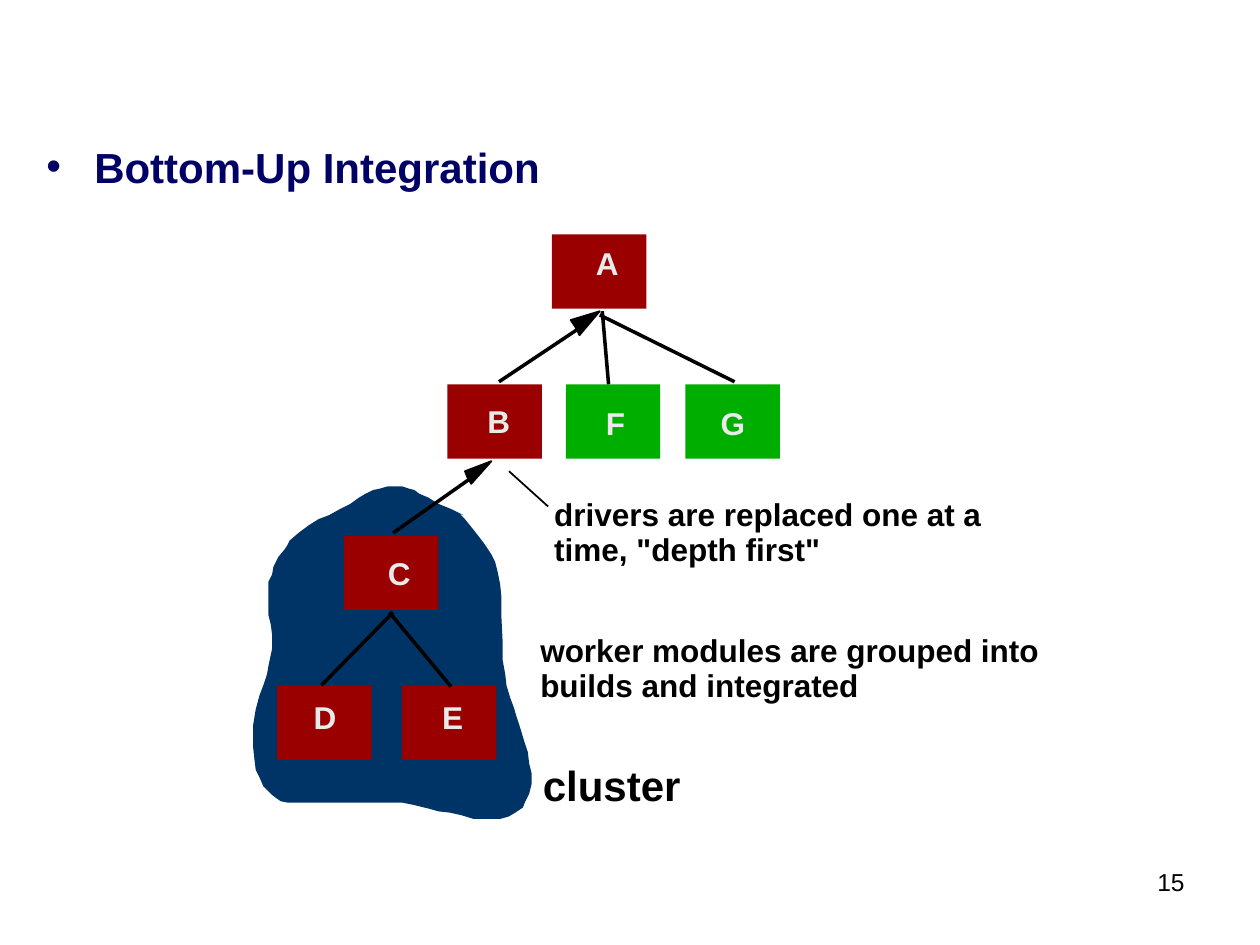
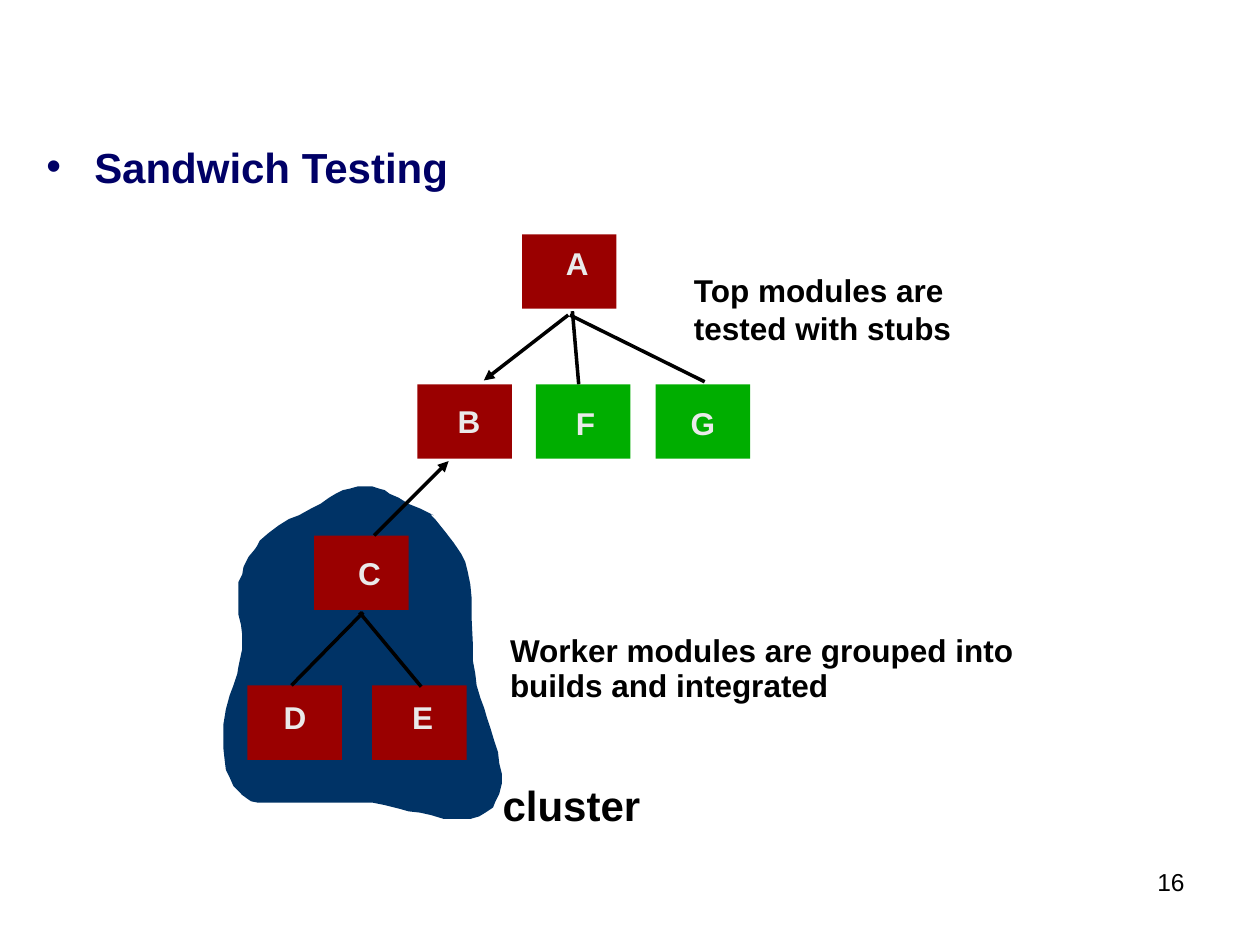
from dataclasses import dataclass

from lxml import etree
from pptx import Presentation
from pptx.dml.color import RGBColor
from pptx.enum.shapes import MSO_CONNECTOR, MSO_SHAPE
from pptx.enum.text import MSO_AUTO_SIZE, PP_ALIGN
from pptx.oxml.ns import qn
from pptx.util import Inches, Pt

RECTANGLE = MSO_SHAPE.RECTANGLE
STRAIGHT = MSO_CONNECTOR.STRAIGHT
FIT_TEXT = MSO_AUTO_SIZE.SHAPE_TO_FIT_TEXT
LEFT, RIGHT = PP_ALIGN.LEFT, PP_ALIGN.RIGHT


@dataclass(frozen=True)
class Theme:
    font: str = "Arial"
    title: RGBColor = RGBColor(0x00, 0x00, 0x66)
    ink: RGBColor = RGBColor(0x00, 0x00, 0x00)
    label: RGBColor = RGBColor(0xEA, 0xEA, 0xEA)
    cluster: RGBColor = RGBColor(0x00, 0x33, 0x66)
    tested: RGBColor = RGBColor(0x9A, 0x00, 0x00)
    pending: RGBColor = RGBColor(0x00, 0xAE, 0x00)
    title_size: int = 24
    body_size: int = 18
    number_size: int = 14
    stroke: int = 2
    thin: int = 1


theme = Theme()
deck = Presentation()
deck.slide_width, deck.slide_height = Inches(10), Inches(7.5)
COLUMN = deck.slide_width // 100
ROW = deck.slide_height // 75
MODULE_WIDTH, MODULE_HEIGHT = 7.5, 5.9
LINE_PITCH = 2.8


def add_text(page, text, left, top, width, height, size, color,
             bold=True, align=LEFT, wrap=False):
    box = page.shapes.add_textbox(round(left * COLUMN), round(top * ROW),
                                  round(width * COLUMN), round(height * ROW))
    frame = box.text_frame
    frame.text = text
    frame.word_wrap = wrap
    if not wrap:
        frame.auto_size = FIT_TEXT
    for para in frame.paragraphs:
        para.alignment = align
        for span in para.runs:
            span.font.name = theme.font
            span.font.size = Pt(size)
            span.font.bold = bold
            span.font.color.rgb = color
    return box


def add_stroke(shapes, start, end, weight=theme.stroke, arrow=False):
    stroke = shapes.add_connector(
        STRAIGHT, round(start[0] * COLUMN), round(start[1] * ROW),
        round(end[0] * COLUMN), round(end[1] * ROW))
    stroke.line.color.rgb = theme.ink
    stroke.line.width = Pt(weight)
    properties = stroke.element.spPr
    if arrow:
        etree.SubElement(properties.find(qn("a:ln")), qn("a:tailEnd"), type="triangle")
    etree.SubElement(properties, qn("a:effectLst"))


cluster_outline = [
    (36.8, 40.9), (35.8, 40.4), (34.8, 40), (34, 39.5), (33.3, 39.2), (32.9, 38.9),
    (32.5, 38.8), (31.9, 38.6), (30.8, 38.6), (30.1, 38.8), (29.6, 38.9), (29, 39.2),
    (28.5, 39.5), (27.8, 40), (27, 40.4), (26.1, 40.9), (25.3, 41.2), (24.5, 41.7),
    (23.7, 42.3), (23, 42.9), (22.8, 43.3), (22.6, 43.6), (22.1, 44.2), (21.7, 45),
    (21.6, 45.6), (21.3, 46.2), (21.3, 48.8), (21.5, 49.6), (21.6, 50.4), (21.6, 51.5),
    (21.3, 52.9), (21.2, 53.5), (20.9, 54.4), (20.6, 55.2), (20.3, 56.3), (20.1, 57.5),
    (20.1, 59.4), (20.2, 60.3), (20.3, 61.1), (20.6, 61.7), (20.9, 62.4), (21.2, 62.7),
    (21.6, 63.1), (22, 63.4), (22.3, 63.6), (22.8, 63.7), (31.9, 63.7), (32.9, 63.9),
    (34.1, 64.2), (34.8, 64.4), (35.7, 64.5), (36.6, 64.7), (37.6, 65), (39.7, 65),
    (40.4, 64.8), (40.9, 64.5), (41.5, 64.1), (41.7, 63.6), (42, 63), (42.2, 62.2),
    (42.2, 61.4), (42, 60.6), (41.9, 59.7), (41.6, 58.8), (41.3, 57.8), (41, 56.9),
    (40.8, 56.2), (40.5, 55.4), (40.2, 54.4), (40.1, 53.5), (39.9, 52.4), (39.9, 51),
    (39.8, 49), (39.8, 47.4), (39.7, 46.4), (39.5, 45.4), (39.3, 44.6), (39, 44),
    (38.4, 43.1), (37.7, 42.2), (36.9, 41.2), (36.5, 40.8),
]

modules = [
    ("A", 43.8, 18.6, theme.tested, 46.3, 18.9),
    ("B", 35.5, 30.5, theme.tested, 37.7, 31.4),
    ("C", 27.3, 42.5, theme.tested, 29.8, 43.5),
    ("D", 22, 54.4, theme.tested, 23.9, 54.9),
    ("E", 31.9, 54.4, theme.tested, 34.1, 54.9),
    ("F", 44.9, 30.5, theme.pending, 47.1, 31.6),
    ("G", 54.4, 30.5, theme.pending, 56.2, 31.6),
]

branches = [
    ((31.2, 48.6), (25.5, 54.4)),
    ((30.9, 48.6), (35.8, 54.5)),
    ((47.8, 24.7), (48.3, 30.5)),
    ((47.6, 25), (58.3, 30.3)),
]

wedge_arrows = [
    ((39.6, 30.3), (45.9, 26.1), [(47.6, 24.7), (46, 26.6), (45.7, 26), (45.3, 25.4)]),
    ((31.2, 42.3), (37.3, 38), [(39, 36.6), (37.4, 38.4), (37.1, 37.9), (36.9, 37.4)]),
]

pages = [
    dict(number="15", title="Bottom-Up Integration", shift=0,
         wedges=wedge_arrows, arrows=[],
         leaders=[((40.4, 37.4), (43.5, 40.2))],
         notes=[("drivers are replaced one at a", 43, 38.8, 36.6, 4),
                ("time, \"depth first\"", 43, 38.8 + LINE_PITCH, 23.1, 4),
                ("worker modules are grouped into", 41.9, 49.6, 42.3, 4),
                ("builds and integrated", 41.9, 49.6 + LINE_PITCH, 27.3, 4)],
         cluster_at=(42.1, 59.8)),
    dict(number="16", title="Sandwich Testing", shift=-2.37,
         wedges=[], leaders=[],
         arrows=[((45.1, 25), (38.4, 30.2)), ((29.7, 42.5), (35.6, 36.6))],
         notes=[("Top modules are\ntested with stubs", 54.1, 21, 22.4, 7),
                ("Worker modules are grouped into", 39.5, 49.6, 42.7, 4),
                ("builds and integrated", 39.5, 49.6 + LINE_PITCH, 27.3, 4)],
         cluster_at=(38.9, 61.4)),
]

for content in pages:
    page = deck.slides.add_slide(deck.slide_layouts[6])
    shift = content["shift"]

    add_text(page, content["number"], 74.4, 68.3, 20.6, 5.2, theme.number_size,
             theme.ink, bold=False, align=RIGHT, wrap=True)
    title = add_text(page, content["title"], 2.7, 10.7, 90, 7.9,
                     theme.title_size, theme.title, wrap=True)
    bullet = title.text_frame.paragraphs[0]._p.get_or_add_pPr()
    bullet.set("marL", str(Inches(0.38)))
    bullet.set("indent", str(-Inches(0.38)))
    bullet_color = etree.SubElement(bullet, qn("a:buClr"))
    etree.SubElement(bullet_color, qn("a:srgbClr"), val=str(theme.title))
    etree.SubElement(bullet, qn("a:buFont"), typeface=theme.font)
    etree.SubElement(bullet, qn("a:buChar"), char="•")

    points = [(round((x + shift) * COLUMN), round(y * ROW)) for x, y in cluster_outline]
    builder = page.shapes.build_freeform(*points[0])
    builder.add_line_segments(points[1:], close=True)
    cluster = builder.convert_to_shape()
    cluster.shadow.inherit = False
    cluster.fill.solid()
    cluster.fill.fore_color.rgb = theme.cluster
    cluster.line.fill.background()

    for name, left, top, color, label_left, label_top in modules:
        module = page.shapes.add_shape(
            RECTANGLE, round((left + shift) * COLUMN), round(top * ROW),
            round(MODULE_WIDTH * COLUMN), round(MODULE_HEIGHT * ROW))
        module.shadow.inherit = False
        module.fill.solid()
        module.fill.fore_color.rgb = color
        module.line.fill.background()

    for start, end, wedge in content["wedges"]:
        group = page.shapes.add_group_shape()
        points = [(round(x * COLUMN), round(y * ROW)) for x, y in wedge]
        builder = group.shapes.build_freeform(*points[0])
        builder.add_line_segments(points[1:], close=True)
        head = builder.convert_to_shape()
        head.shadow.inherit = False
        head.fill.solid()
        head.fill.fore_color.rgb = theme.ink
        head.line.color.rgb = theme.ink
        head.line.width = Pt(theme.thin)
        add_stroke(group.shapes, start, end)

    for start, end in branches:
        add_stroke(page.shapes, (start[0] + shift, start[1]), (end[0] + shift, end[1]))
    for text, left, top, width, height in content["notes"]:
        add_text(page, text, left, top, width, height, theme.body_size, theme.ink)
    for name, left, top, color, label_left, label_top in modules:
        add_text(page, name, label_left + shift, label_top, 3.8, 4,
                 theme.body_size, theme.label)
    add_text(page, "cluster", *content["cluster_at"], 12.9, 5,
             theme.title_size, theme.ink)
    for start, end in content["leaders"]:
        add_stroke(page.shapes, start, end, weight=theme.thin)
    for start, end in content["arrows"]:
        add_stroke(page.shapes, start, end, arrow=True)

deck.save("out.pptx")
